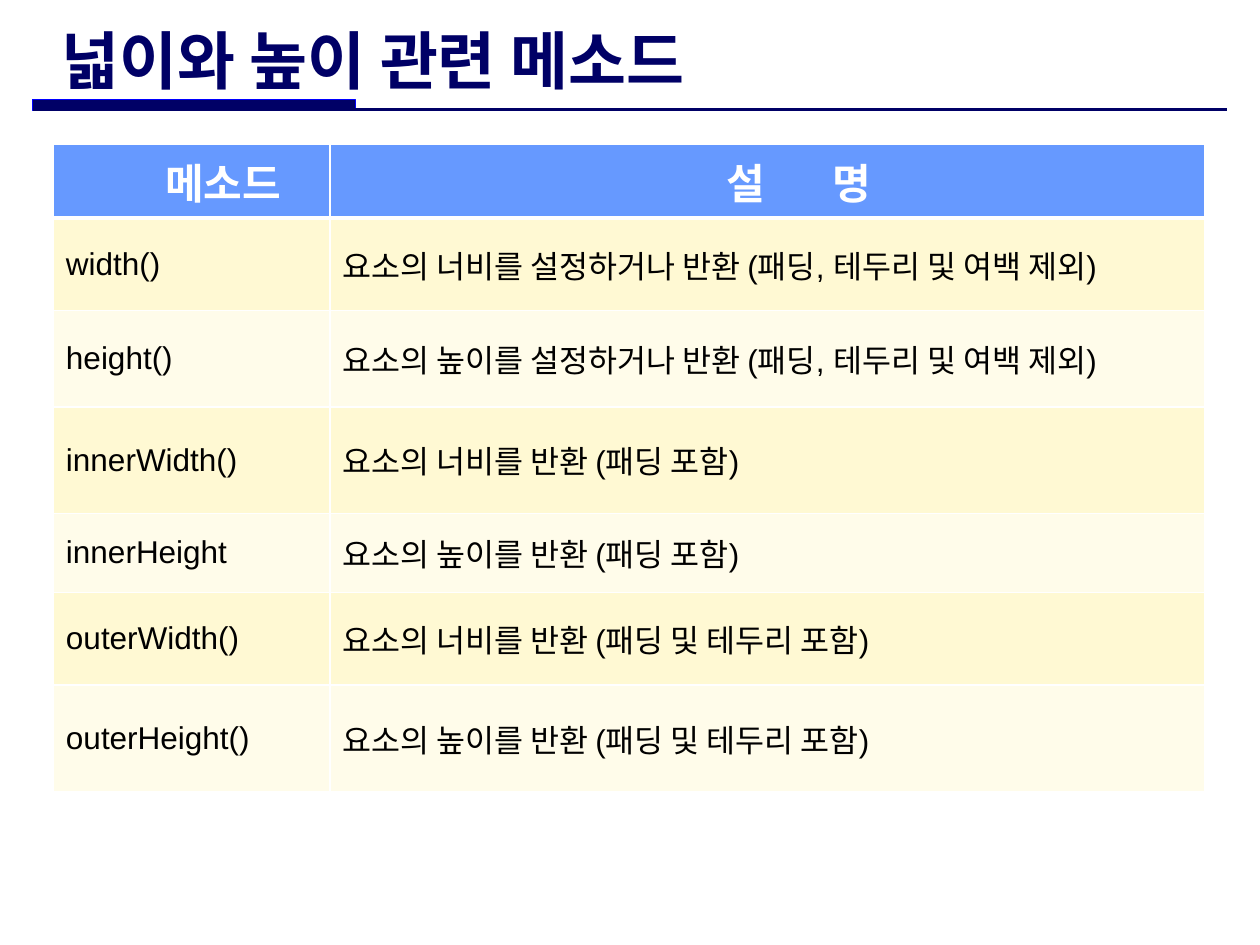
from pptx import Presentation
from pptx.dml.color import RGBColor
from pptx.enum.shapes import MSO_CONNECTOR as CONN, MSO_SHAPE as SHAPE
from pptx.enum.text import MSO_ANCHOR as ANCHOR, MSO_AUTO_SIZE as AUTO, PP_ALIGN as ALIGN
from pptx.oxml.ns import qn
from pptx.util import Pt
from lxml.etree import SubElement, Element

NAVY = RGBColor(0x00, 0x00, 0x66)
BLUE = RGBColor(0x00, 0x00, 0xFF)
HEADER = RGBColor(0x66, 0x99, 0xFF)
BANDS = RGBColor(0xFF, 0xF9, 0xD3), RGBColor(0xFF, 0xFC, 0xEA)
WHITE = RGBColor(0xFF, 0xFF, 0xFF)
BLACK = RGBColor(0x00, 0x00, 0x00)

KOREAN = "Noto Sans CJK KR"
TITLE_FONT = dict(name="Comic Neue", size=Pt(36), bold=True, color=NAVY)
HEAD_FONT = dict(name="Arial", size=Pt(24), bold=True, color=WHITE)
BODY_FONT = dict(name="Arial", size=Pt(18), bold=False, color=BLACK)

HEAD_INDENT = Pt(36)
COLUMNS = 158, 500
HEAD_HEIGHT = 40
# Method, description, row height
METHODS = [
    ("width()", "요소의 너비를 설정하거나 반환 (패딩, 테두리 및 여백 제외)", 53),
    ("height()", "요소의 높이를 설정하거나 반환 (패딩, 테두리 및 여백 제외)", 55),
    ("innerWidth()", "요소의 너비를 반환 (패딩 포함)", 61),
    ("innerHeight", "요소의 높이를 반환 (패딩 포함)", 45),
    ("outerWidth()", "요소의 너비를 반환 (패딩 및 테두리 포함)", 53),
    ("outerHeight()", "요소의 높이를 반환 (패딩 및 테두리 포함)", 61),
]


def add_run(p, text, style, spacing=None):
    r = p.add_run()
    r.text = text
    for key, value in style.items():
        if key == "color":
            r.font.color.rgb = value
        else:
            setattr(r.font, key, value)
    rpr = r._r.get_or_add_rPr()
    ea = Element(qn("a:ea"), typeface=KOREAN)
    rpr.find(qn("a:latin")).addnext(ea)
    if spacing:
        rpr.set("spc", str(spacing * 100))


def add_title(s, text):
    sp = s.shapes.title
    sp.left, sp.top, sp.width, sp.height = Pt(28), Pt(15), Pt(489), Pt(37.5)
    tf = sp.text_frame
    for key, value in dict(auto_size=AUTO.NONE, word_wrap=True,
                           vertical_anchor=ANCHOR.MIDDLE).items():
        setattr(tf, key, value)
    p = tf.paragraphs[0]
    p.alignment = ALIGN.LEFT
    add_run(p, text, TITLE_FONT)


def add_title_rule(s):
    bar = s.shapes.add_shape(SHAPE.RECTANGLE, Pt(18.7), Pt(57), Pt(184.3), Pt(6.2))
    bar.shadow.inherit = False
    bar.fill.solid()
    bar.fill.fore_color.rgb = NAVY
    bar.line.color.rgb = BLUE
    bar.line.width = Pt(0.75)
    rule = s.shapes.add_connector(CONN.STRAIGHT, Pt(18.7), Pt(62.6), Pt(701.3), Pt(62.6))
    rule.line.color.rgb = NAVY
    rule.line.width = Pt(1.5)
    SubElement(rule._element.spPr, qn("a:effectLst"))


def set_borders(cell, top, bottom):
    tc_pr = cell._tc.get_or_add_tcPr()
    widths = dict(lnL=1, lnR=1, lnT=top, lnB=bottom)
    for i, (side, width) in enumerate(widths.items()):
        ln = Element(qn(f"a:{side}"), w=str(Pt(width)))
        fill = SubElement(ln, qn("a:solidFill"))
        SubElement(fill, qn("a:srgbClr"), val=str(WHITE))
        tc_pr.insert(i, ln)


def format_cell(cell, color, top=1, bottom=1):
    cell.vertical_anchor = ANCHOR.MIDDLE
    cell.fill.solid()
    cell.fill.fore_color.rgb = color
    set_borders(cell, top, bottom)
    return cell.text_frame.paragraphs[0]


def add_header(table):
    paragraphs = [format_cell(cell, HEADER, bottom=3) for cell in table.rows[0].cells]
    for p in paragraphs:
        p.alignment = ALIGN.CENTER
        p._p.get_or_add_pPr().set("marL", str(HEAD_INDENT))
    add_run(paragraphs[0], "메소드", HEAD_FONT)
    # The two syllables stand apart by a widened space
    for text, spacing in (("설", None), (" ", 33), ("명", None)):
        add_run(paragraphs[1], text, HEAD_FONT, spacing)


def add_method_table(s):
    heights = [HEAD_HEIGHT] + [height for *_, height in METHODS]
    table = s.shapes.add_table(len(heights), len(COLUMNS), Pt(30.5), Pt(82.5),
                               Pt(sum(COLUMNS)), Pt(sum(heights))).table
    for column, width in zip(table.columns, COLUMNS):
        column.width = Pt(width)
    for row, height in zip(table.rows, heights):
        row.height = Pt(height)
    add_header(table)
    for i, (*texts, _) in enumerate(METHODS):
        for j, text in enumerate(texts):
            p = format_cell(table.cell(i + 1, j), BANDS[i % 2], top=1 if i else 3)
            add_run(p, text, BODY_FONT)


def main():
    prs = Presentation()
    prs.slide_width, prs.slide_height = Pt(720), Pt(540)
    s = prs.slides.add_slide(prs.slide_layouts[5])
    add_title_rule(s)
    add_method_table(s)
    add_title(s, "넓이와 높이 관련 메소드")
    prs.save("out.pptx")


if __name__ == "__main__":
    main()
